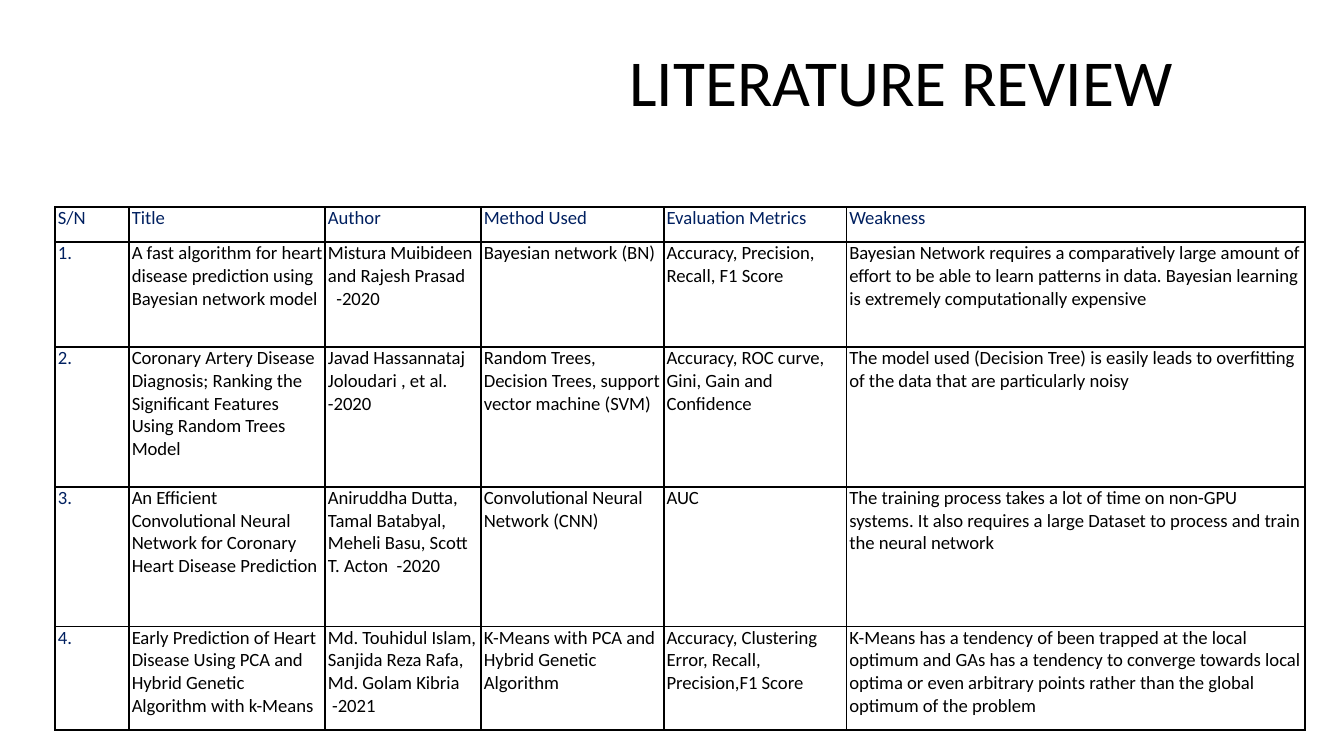
import dataclasses

import lxml.etree
import pptx
import pptx.dml.color
import pptx.enum.text
import pptx.oxml.ns
import pptx.util

Pt = pptx.util.Pt


@dataclasses.dataclass(frozen=True)
class Theme:
    font: str = "Calibri"
    title_size: float = 35.1
    table_size: float = 10
    ink: str = "000000"
    label: str = "002060"
    paper: str = "FFFFFF"
    border_width: float = 1


THEME = Theme()

COLUMN_WIDTHS = [39.6, 105.12, 83.52, 97.92, 97.92, 245.52]
ROW_HEIGHTS = [18.9, 56.16, 74.88, 74.88, 55.44]
YEAR_INDENT = 4.5

HEADINGS = ["S/N", "Title", "Author", "Method Used", "Evaluation Metrics", "Weakness"]

STUDIES = [
    [
        "A fast algorithm for heart disease prediction using Bayesian network model",
        ["Mistura Muibideen and Rajesh Prasad", ("-2020", YEAR_INDENT)],
        "Bayesian network (BN)",
        "Accuracy, Precision, Recall, F1 Score",
        "Bayesian Network requires a comparatively large amount of effort to be able to learn "
        "patterns in data. Bayesian learning is extremely computationally expensive",
    ],
    [
        "Coronary Artery Disease Diagnosis; Ranking the Significant Features Using Random Trees Model",
        ["Javad Hassannataj Joloudari , et al.", "-2020"],
        "Random Trees, Decision Trees, support vector machine (SVM)",
        "Accuracy, ROC curve, Gini, Gain and Confidence",
        "The model used (Decision Tree) is easily leads to overfitting of the data that are "
        "particularly noisy",
    ],
    [
        "An Efficient Convolutional Neural Network for Coronary Heart Disease Prediction",
        "Aniruddha Dutta, Tamal Batabyal, Meheli Basu, Scott T. Acton  -2020",
        "Convolutional Neural Network (CNN)",
        "AUC",
        "The training process takes a lot of time on non-GPU systems. It also requires a large "
        "Dataset to process and train the neural network",
    ],
    [
        "Early Prediction of Heart Disease Using PCA and Hybrid Genetic Algorithm with k-Means",
        ["Md. Touhidul Islam, Sanjida Reza Rafa, Md. Golam Kibria", ("-2021", YEAR_INDENT / 2)],
        "K-Means with PCA and\nHybrid Genetic Algorithm",
        "Accuracy, Clustering\nError, Recall, Precision,F1 Score",
        "K-Means has a tendency of been trapped at the local optimum and GAs has a tendency to "
        "converge towards local optima or even arbitrary points rather than the global optimum "
        "of the problem",
    ],
]


def rgb(colour):
    return pptx.dml.color.RGBColor.from_string(colour)


def style_paragraph(paragraph, size, colour):
    paragraph.font.name = THEME.font
    paragraph.font.size = Pt(size)
    paragraph.font.color.rgb = rgb(colour)


def add_title(slide, wording):
    title = slide.shapes.add_textbox(Pt(235.44), Pt(14.4), Pt(494.64), Pt(56.88))
    frame = title.text_frame
    frame.word_wrap = True
    frame.vertical_anchor = pptx.enum.text.MSO_ANCHOR.MIDDLE
    heading = frame.paragraphs[0]
    heading.text = wording
    heading.alignment = pptx.enum.text.PP_ALIGN.CENTER
    style_paragraph(heading, THEME.title_size, THEME.ink)


def border_cell(cell):
    properties = cell._tc.get_or_add_tcPr()
    for position, side in enumerate(("lnL", "lnR", "lnT", "lnB")):
        border = lxml.etree.Element(
            pptx.oxml.ns.qn(f"a:{side}"), w=str(Pt(THEME.border_width))
        )
        fill = lxml.etree.SubElement(border, pptx.oxml.ns.qn("a:solidFill"))
        lxml.etree.SubElement(fill, pptx.oxml.ns.qn("a:srgbClr"), val=THEME.ink)
        properties.insert(position, border)


def fill_cell(cell, content, colour):
    cell.margin_left = cell.margin_right = Pt(1.5)
    cell.margin_top = cell.margin_bottom = Pt(0)
    cell.fill.solid()
    cell.fill.fore_color.rgb = rgb(THEME.paper)
    border_cell(cell)
    lines = content if isinstance(content, list) else [content]
    for number, line in enumerate(lines):
        wording, indent = line if isinstance(line, tuple) else (line, 0)
        frame = cell.text_frame
        paragraph = frame.add_paragraph() if number else frame.paragraphs[0]
        paragraph.text = wording
        style_paragraph(paragraph, THEME.table_size, colour)
        if indent:
            paragraph._p.get_or_add_pPr().set("marL", str(Pt(indent)))


def add_review_table(slide):
    rows = [HEADINGS] + [[f"{number}."] + study for number, study in enumerate(STUDIES, 1)]
    review = slide.shapes.add_table(
        len(rows), len(HEADINGS), Pt(29.5), Pt(110.9),
        Pt(sum(COLUMN_WIDTHS)), Pt(sum(ROW_HEIGHTS)),
    ).table
    review.first_row = review.horz_banding = False
    for column, width in zip(review.columns, COLUMN_WIDTHS):
        column.width = Pt(width)
    for row, height in zip(review.rows, ROW_HEIGHTS):
        row.height = Pt(height)
    for r, contents in enumerate(rows):
        for c, content in enumerate(contents):
            colour = THEME.label if r == 0 or c == 0 else THEME.ink
            fill_cell(review.cell(r, c), content, colour)


def main():
    deck = pptx.Presentation()
    deck.slide_width, deck.slide_height = Pt(720), Pt(405)
    slide = deck.slides.add_slide(deck.slide_layouts[6])
    add_title(slide, "LITERATURE REVIEW")
    add_review_table(slide)
    deck.save("out.pptx")


if __name__ == "__main__":
    main()
